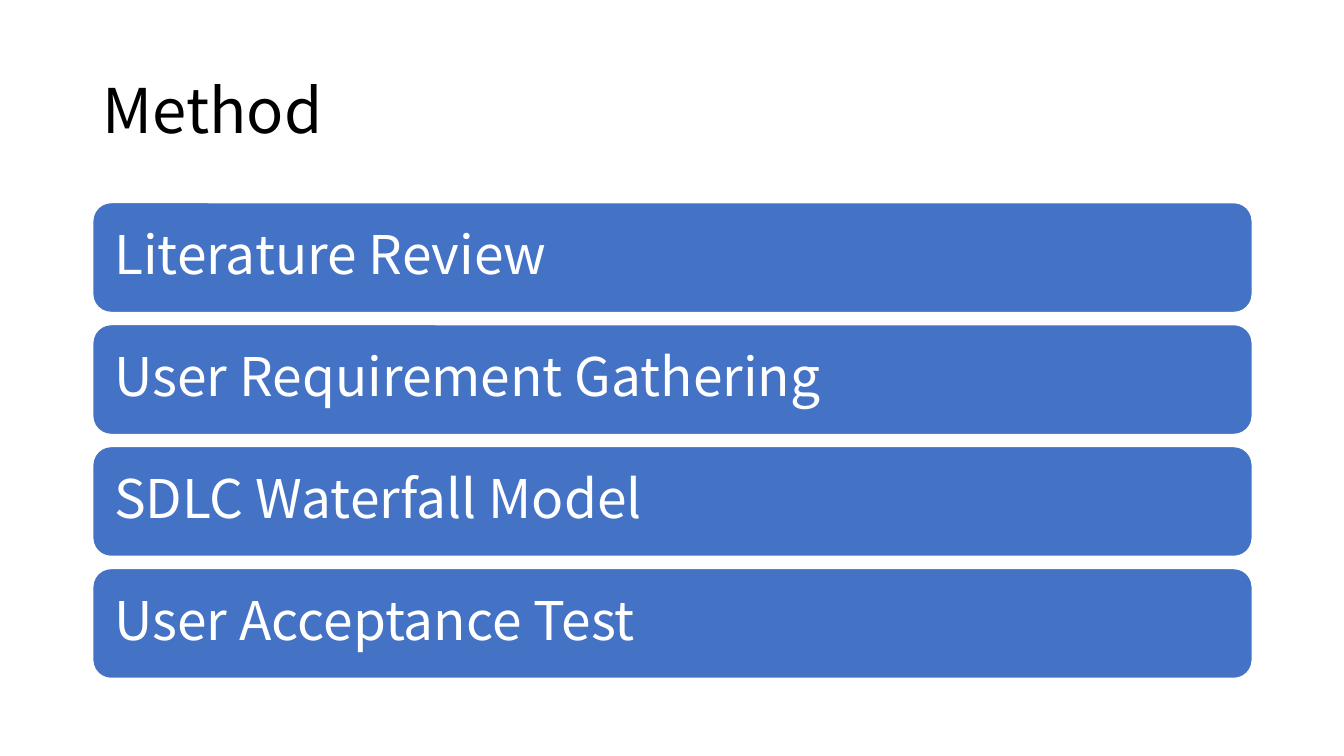
from pptx import Presentation
from pptx.dml.color import RGBColor
from pptx.enum.shapes import MSO_SHAPE
from pptx.enum.text import MSO_ANCHOR, PP_ALIGN
from pptx.util import Inches, Pt

COLORS = {"title": "000000", "bar": "4472C4", "white": "FFFFFF"}
FONT = "Noto Sans CJK SC"
LEFT, WIDTH = 0.92, 11.5
BAR_TOP, BAR_HEIGHT, BAR_GAP = 2.01, 1.09, 0.12
METHODS = [
    "Literature Review",
    "User Requirement Gathering",
    "SDLC Waterfall Model",
    "User Acceptance Test",
]


class SlideBuilder:
    def __init__(self, slide):
        self.slide = slide

    def color(self, name):
        return RGBColor.from_string(COLORS[name])

    def set_text(self, shape, text, size, color, margin_x, margin_y):
        frame_format = {
            "word_wrap": True,
            "vertical_anchor": MSO_ANCHOR.MIDDLE,
            "margin_left": Inches(margin_x),
            "margin_right": Inches(margin_x),
            "margin_top": Inches(margin_y),
            "margin_bottom": Inches(margin_y),
        }
        for name, value in frame_format.items():
            setattr(shape.text_frame, name, value)
        paragraph = shape.text_frame.paragraphs[0]
        paragraph.alignment = PP_ALIGN.LEFT
        paragraph.line_spacing = 0.9
        run = paragraph.add_run()
        run.text = text
        for name, value in {"name": FONT, "size": Pt(size)}.items():
            setattr(run.font, name, value)
        run.font.color.rgb = self.color(color)

    def title(self, text, top, height):
        shape = self.slide.shapes.add_textbox(
            Inches(LEFT), Inches(top), Inches(WIDTH), Inches(height))
        self.set_text(shape, text, 44, "title", 0.1, 0.05)

    def bar(self, text, top):
        shape = self.slide.shapes.add_shape(
            MSO_SHAPE.ROUNDED_RECTANGLE,
            Inches(LEFT), Inches(top), Inches(WIDTH), Inches(BAR_HEIGHT))
        shape.shadow.inherit = False
        shape.fill.solid()
        shape.fill.fore_color.rgb = self.color("bar")
        shape.line.color.rgb = self.color("white")
        shape.line.width = Pt(1)
        self.set_text(shape, text, 38, "white", 0.16, 0.16)


def main():
    presentation = Presentation()
    presentation.slide_width = Inches(13.33)
    presentation.slide_height = Inches(7.5)
    slide = presentation.slides.add_slide(presentation.slide_layouts[6])
    builder = SlideBuilder(slide)

    # Heading
    builder.title("Method", 0.4, 1.45)

    # Stacked method bars
    for index, method in enumerate(METHODS):
        builder.bar(method, BAR_TOP + index * (BAR_HEIGHT + BAR_GAP))

    presentation.save("out.pptx")


if __name__ == "__main__":
    main()
